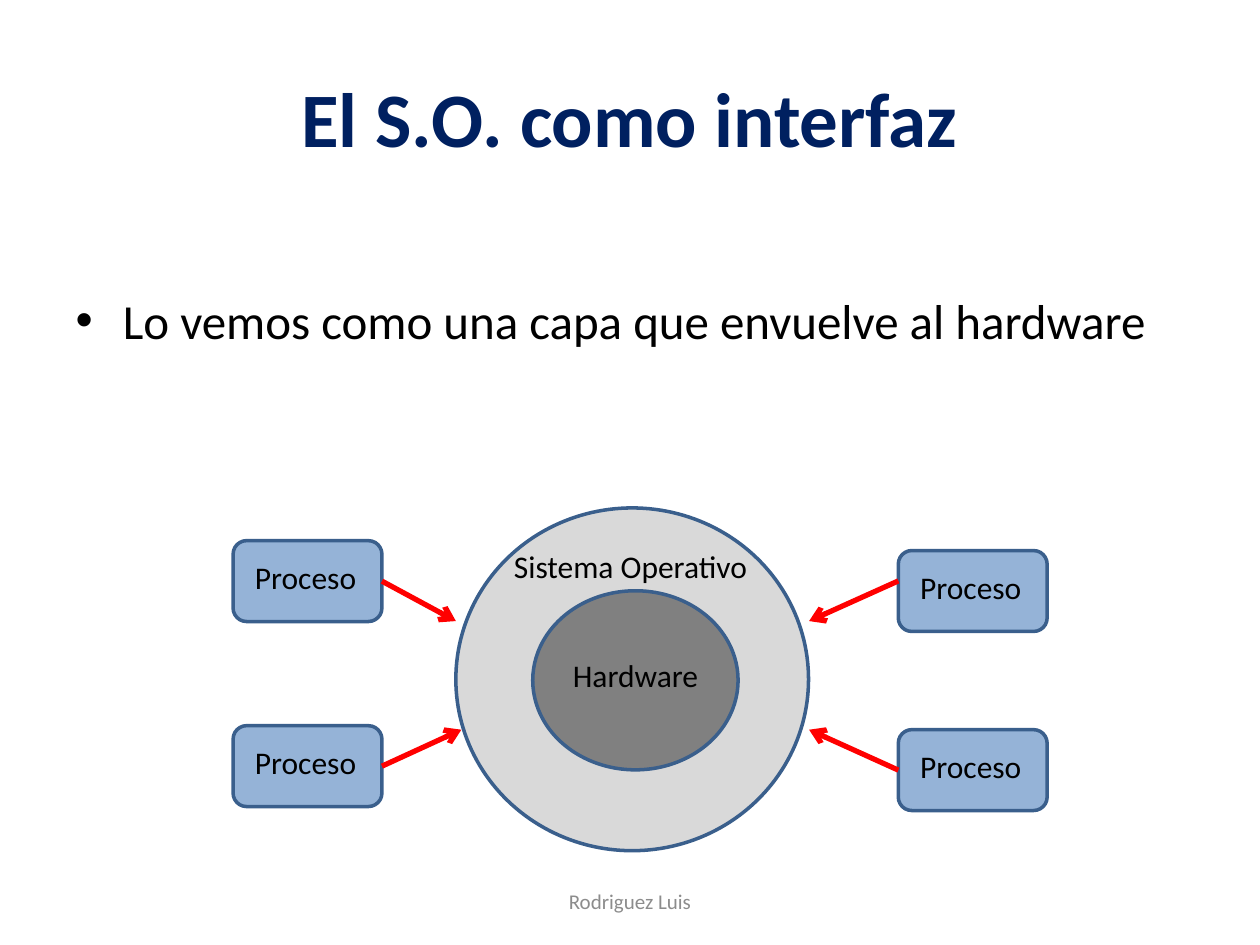
"""Builds a slide showing the operating system as a layer around the hardware."""
from lxml import etree
from pptx import Presentation
from pptx.dml.color import RGBColor
from pptx.enum.shapes import MSO_CONNECTOR, MSO_SHAPE
from pptx.enum.text import MSO_ANCHOR, PP_ALIGN
from pptx.oxml.ns import qn
from pptx.util import Cm, Pt

OVAL = MSO_SHAPE.OVAL
ROUND = MSO_SHAPE.ROUNDED_RECTANGLE
LINE = MSO_CONNECTOR.STRAIGHT
LEFT, CENTER = PP_ALIGN.LEFT, PP_ALIGN.CENTER
TOP, MIDDLE = MSO_ANCHOR.TOP, MSO_ANCHOR.MIDDLE

COLORS = {
    "title": "002060",
    "text": "000000",
    "footer": "8C8C8C",
    "outer": "D9D9D9",
    "inner": "808080",
    "process": "95B3D7",
    "border": "3A5F8C",
    "arrow": "FF0000",
}


class Deck:
    """Holds the style and the current slide."""

    font = "Calibri"

    def __init__(self):
        self.show = Presentation()
        self.show.slide_width, self.show.slide_height = Cm(25.4), Cm(19.05)
        self.slide = self.show.slides.add_slide(self.show.slide_layouts[1])

    def color(self, name):
        return RGBColor.from_string(COLORS[name])

    def style(self, frame, text, size, color="text", bold=False, align=LEFT, anchor=TOP):
        frame.text = text
        frame.word_wrap = True
        frame.vertical_anchor = anchor
        line = frame.paragraphs[0]
        line.alignment = align
        line.font.name, line.font.size, line.font.bold = self.font, Pt(size), bold
        line.font.color.rgb = self.color(color)

    def place(self, holder, left, top, width, height):
        holder.left, holder.top = Cm(left), Cm(top)
        holder.width, holder.height = Cm(width), Cm(height)

    def title(self, text, *area):
        holder = self.slide.shapes.title
        self.place(holder, *area)
        self.style(holder.text_frame, text, 44, "title", True, CENTER, MIDDLE)

    def body(self, text, *area):
        holder = self.slide.placeholders[1]
        self.place(holder, *area)
        frame = holder.text_frame
        self.style(frame, text, 28)
        frame.margin_top = Cm(1.4)
        frame.paragraphs[0].space_before = Pt(0)

    def label(self, text, *area, home=None, size=18, **look):
        shapes = home or self.slide.shapes
        box = shapes.add_textbox(*map(Cm, area))
        self.style(box.text_frame, text, size, **look)

    def shape(self, kind, fill, *area, home=None):
        shapes = home or self.slide.shapes
        item = shapes.add_shape(kind, *map(Cm, area))
        item.shadow.inherit = False
        item.fill.solid()
        item.fill.fore_color.rgb = self.color(fill)
        item.line.color.rgb = self.color("border")
        item.line.width = Pt(2)
        return item

    def process(self, left, top):
        home = self.slide.shapes.add_group_shape().shapes
        box = self.shape(ROUND, "process", left, top, 3, 1.63, home=home)
        self.label("Proceso", left + 0.19, top + 0.23, 2.6, 1.02, home=home)
        return box

    def arrow(self, start, end, box=None, side=None):
        link = self.slide.shapes.add_connector(LINE, *map(Cm, start + end))
        if box is not None:
            link.begin_connect(box, side)
        link.line.color.rgb = self.color("arrow")
        link.line.width = Pt(3)
        props = link.element.spPr
        etree.SubElement(props.find(qn("a:ln")), qn("a:tailEnd"), type="arrow")
        etree.SubElement(props, qn("a:effectLst"))


def main():
    deck = Deck()
    deck.title("El S.O. como interfaz", 1.27, 0.76, 22.86, 3.18)
    deck.body("Lo vemos como una capa que envuelve al hardware", 1.27, 4.45, 22.86, 14.6)

    deck.shape(OVAL, "outer", 9.19, 10.24, 7.11, 6.91)
    deck.shape(OVAL, "inner", 10.74, 11.91, 4.14, 3.61)
    deck.label("Hardware", 11.3, 13.11, 3.2, 1.02)
    deck.label("Sistema Operativo", 10.11, 10.9, 5.41, 1.02)

    west, east = 4.7, 18.11
    joined = [
        (west, 10.9, west + 3, 3, (9.19, 12.52)),
        (west, 14.63, west + 3, 3, (9.3, 14.71)),
        (east, 14.71, east, 1, (16.31, 14.71)),
    ]
    boxes = [deck.process(left, top) for left, top, *_ in joined]
    deck.process(east, 11.1)
    for box, (_, top, edge, side, end) in zip(boxes, joined):
        deck.arrow((edge, top + 0.81), end, box, side)
    deck.arrow((east, 11.71), (16.31, 12.52))

    deck.label("Rodriguez Luis", 8.68, 17.66, 8.04, 1.01, size=12,
               color="footer", align=CENTER, anchor=MIDDLE)
    deck.show.save("out.pptx")


if __name__ == "__main__":
    main()
